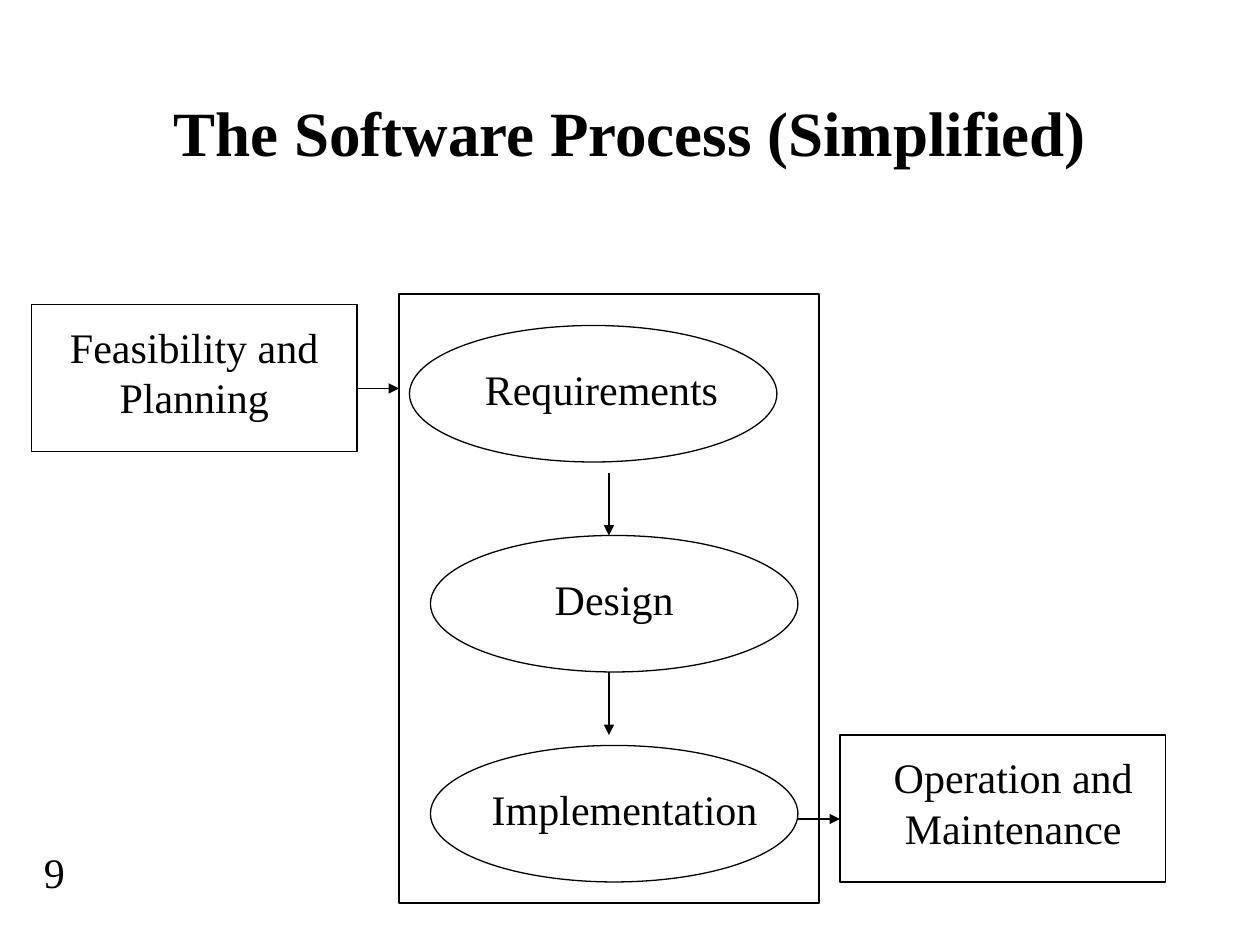
from typing import NamedTuple

from lxml.etree import SubElement
from pptx import Presentation
from pptx.dml.color import RGBColor
from pptx.enum.shapes import MSO_CONNECTOR, MSO_SHAPE
from pptx.enum.text import MSO_ANCHOR, PP_ALIGN
from pptx.oxml.ns import qn
from pptx.util import Inches, Pt

COLUMNS, ROWS = 120, 90
SLIDE_WIDTH, SLIDE_HEIGHT = Inches(10), Inches(7.5)
INK = "000000"
FONT = "Times New Roman"


class Area(NamedTuple):
    """Columns and rows of the slide grid."""
    column: float
    row: float
    columns: float
    rows: float


class Label(NamedTuple):
    text: str
    area: Area
    size: int = 24
    bold: bool = False
    align: PP_ALIGN = PP_ALIGN.CENTER
    anchor: MSO_ANCHOR = MSO_ANCHOR.TOP
    space_before: int = 0
    wrap: bool = True


class Outline(NamedTuple):
    kind: MSO_SHAPE
    area: Area


class Arrow(NamedTuple):
    column: float
    row: float
    across: float = 0
    down: float = 0


LABELS = [
    Label("9", Area(3, 80, 13, 6), align=PP_ALIGN.LEFT, space_before=15),
    Label("The Software Process (Simplified)", Area(9, 5, 102, 15),
          size=36, bold=True, anchor=MSO_ANCHOR.MIDDLE),
    Label("Requirements", Area(45, 34, 24.6, 6), align=PP_ALIGN.LEFT, wrap=False),
    Label("Operation and\nMaintenance", Area(83, 71, 27, 10.8), space_before=15),
    Label("Implementation", Area(44, 74, 31, 6)),
    Label("Design", Area(43, 54, 31, 6)),
    Label("Feasibility and\nPlanning", Area(5, 30, 27, 10.8), space_before=15),
]

STEP_SIZE = (35, 13)
PHASE_SIZE = (31, 14)
OUTLINES = [
    *(Outline(MSO_SHAPE.OVAL, Area(*corner, *STEP_SIZE))
      for corner in [(39, 31), (41, 51), (41, 71)]),
    *(Outline(MSO_SHAPE.RECTANGLE, Area(*corner, *PHASE_SIZE))
      for corner in [(3, 29), (80, 70)]),
    Outline(MSO_SHAPE.RECTANGLE, Area(38, 28, 40, 58)),
]

ARROWS = [
    Arrow(34, 37, across=4),
    Arrow(76, 78, across=4),
    Arrow(58, 45, down=6),
    Arrow(58, 64, down=6),
]


def x(columns: float) -> int:
    return round(SLIDE_WIDTH * columns / COLUMNS)


def y(rows: float) -> int:
    return round(SLIDE_HEIGHT * rows / ROWS)


def place(area: Area) -> tuple[int, int, int, int]:
    return x(area.column), y(area.row), x(area.columns), y(area.rows)


def color(value: str) -> RGBColor:
    return RGBColor.from_string(value)


def style_line(line) -> None:
    line.color.rgb = color(INK)
    line.width = Pt(0.75)


def draw_label(shapes, label: Label) -> None:
    frame = shapes.add_textbox(*place(label.area)).text_frame
    frame.word_wrap = label.wrap
    frame.vertical_anchor = label.anchor
    frame.text = label.text
    frame.paragraphs[0].space_before = Pt(label.space_before)
    for paragraph in frame.paragraphs:
        paragraph.alignment = label.align
        for run in paragraph.runs:
            run.font.name = FONT
            run.font.size = Pt(label.size)
            run.font.bold = label.bold
            run.font.color.rgb = color(INK)


def draw_outline(shapes, outline: Outline) -> None:
    shape = shapes.add_shape(outline.kind, *place(outline.area))
    shape.shadow.inherit = False
    shape.fill.background()
    style_line(shape.line)


def draw_arrow(shapes, arrow: Arrow) -> None:
    connector = shapes.add_connector(
        MSO_CONNECTOR.STRAIGHT, x(arrow.column), y(arrow.row),
        x(arrow.column + arrow.across), y(arrow.row + arrow.down))
    style_line(connector.line)
    properties = connector.element.spPr
    SubElement(properties.find(qn("a:ln")), qn("a:tailEnd"), type="triangle")
    SubElement(properties, qn("a:effectLst"))


def main() -> None:
    deck = Presentation()
    deck.slide_width, deck.slide_height = SLIDE_WIDTH, SLIDE_HEIGHT
    shapes = deck.slides.add_slide(deck.slide_layouts[6]).shapes
    for label in LABELS:
        draw_label(shapes, label)
    for outline in OUTLINES:
        draw_outline(shapes, outline)
    for arrow in ARROWS:
        draw_arrow(shapes, arrow)
    deck.save("out.pptx")


if __name__ == "__main__":
    main()
